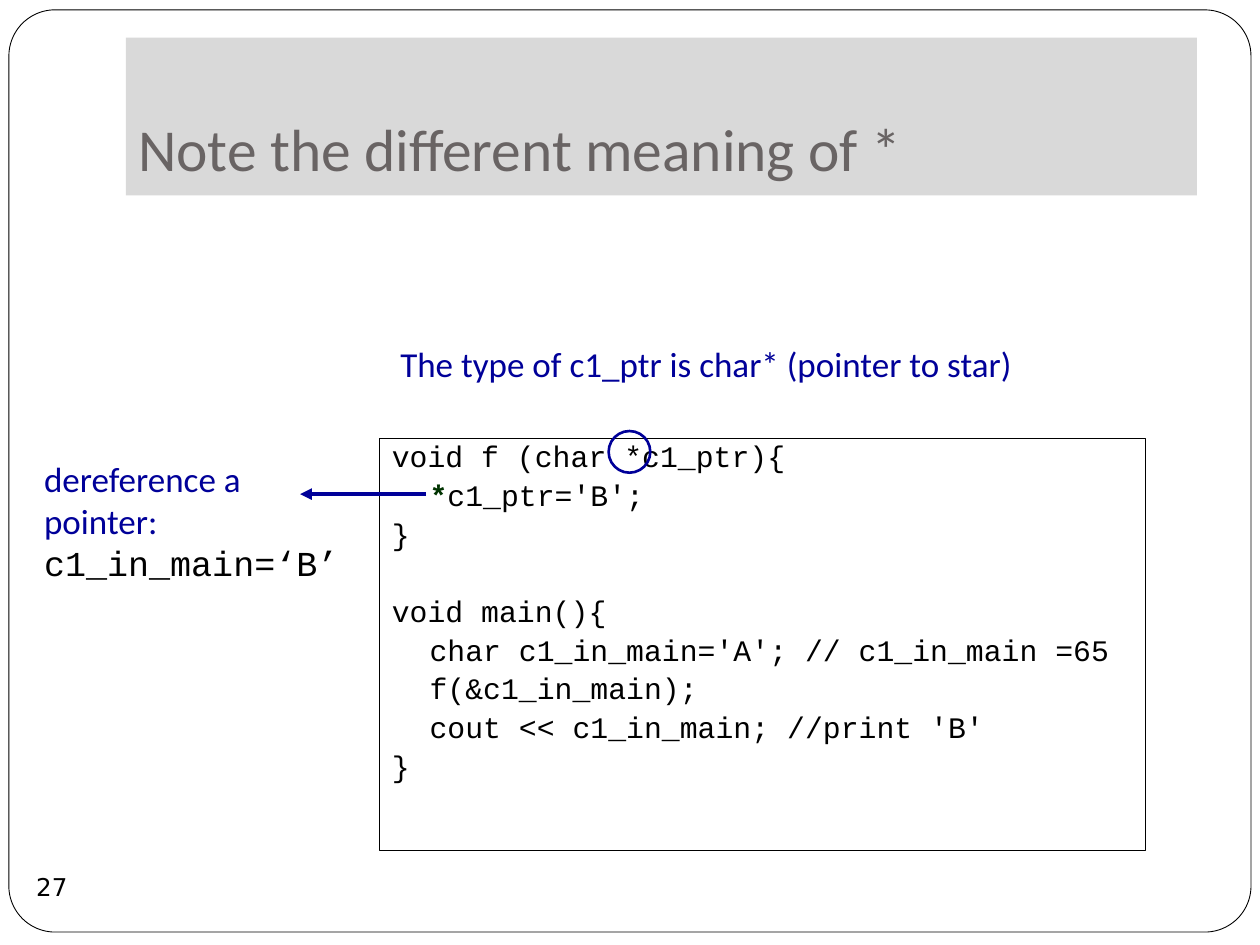
from collections import namedtuple

from lxml import etree
from pptx import Presentation
from pptx.dml.color import RGBColor
from pptx.enum.shapes import MSO_CONNECTOR, MSO_SHAPE
from pptx.enum.text import MSO_ANCHOR as Anchor, PP_ALIGN as Align
from pptx.oxml.ns import qn
from pptx.util import Cm, Pt

Box = namedtuple("Box", "left top width height")  # centimetres

COLORS = {
    "paper": "FFFFFF", "band": "D9D9D9", "title": "696464",
    "ink": "000000", "note": "000099", "star": "003300",
}
SANS, MONO, NUMBER = "Calibri", "Courier New", "DejaVu Sans"
INDENT = 0.76
LINE_GAP, BLOCK_GAP = 5.8, 27.9

# Each line: indented?, space before in points, text pieces
CODE = [
    (False, 0, ["void f (char *c1_ptr){"]),
    (True, LINE_GAP, ["*", "c1_ptr='B';"]),
    (False, LINE_GAP, ["}"]),
    (False, BLOCK_GAP, ["void main(){"]),
    (True, LINE_GAP, ["char c1_in_main='A'; // c1_in_main =65"]),
    (True, LINE_GAP, ["f(&c1_in_main);"]),
    (True, LINE_GAP, ["cout << c1_in_main; //print 'B'"]),
    (False, LINE_GAP, ["}"]),
]


def rgb(name):
    return RGBColor.from_string(COLORS[name])


def add_span(para, text, size, font, color, bold=False):
    span = para.add_run()
    span.text = text
    span.font.size = Pt(size)
    span.font.name = font
    span.font.bold = bold
    span.font.color.rgb = rgb(color)


def add_shape(page, kind, box, fill=None, line=None, weight=1):
    shape = page.shapes.add_shape(kind, *map(Cm, box))
    shape.shadow.inherit = False
    if fill:
        shape.fill.solid()
        shape.fill.fore_color.rgb = rgb(fill)
    else:
        shape.fill.background()
    if line:
        shape.line.color.rgb = rgb(line)
        shape.line.width = Pt(weight)
    else:
        shape.line.fill.background()
    return shape


def add_frame(page, box):
    frame = add_shape(page, MSO_SHAPE.ROUNDED_RECTANGLE, box, "paper", "ink", 0.5)
    frame.adjustments[0] = 0.05


def add_title(page, box):
    text = add_shape(page, MSO_SHAPE.RECTANGLE, box, "band").text_frame
    text.word_wrap = True
    text.vertical_anchor = Anchor.BOTTOM
    text.margin_bottom = Cm(0.25)
    para = text.paragraphs[0]
    para.alignment = Align.LEFT
    add_span(para, "Note the different meaning of *", 34, SANS, "title")


def add_code(page, box):
    text = add_shape(page, MSO_SHAPE.RECTANGLE, box, None, "ink", 0.25).text_frame
    text.word_wrap = True
    text.vertical_anchor = Anchor.TOP
    for row, (indented, gap, pieces) in enumerate(CODE):
        para = text.add_paragraph() if row else text.paragraphs[0]
        para.alignment = Align.LEFT
        para.line_spacing = 0.8
        para.space_before = Pt(gap)
        if indented:
            para._p.get_or_add_pPr().set("marL", str(Cm(INDENT)))
        for piece in pieces:
            star = piece == "*"
            add_span(para, piece, 17, MONO, "star" if star else "ink", star)


def add_note(page, box, lines):
    text = page.shapes.add_textbox(*map(Cm, box)).text_frame
    text.word_wrap = True
    for row, (words, font, color) in enumerate(lines):
        para = text.add_paragraph() if row else text.paragraphs[0]
        add_span(para, words, 20, font, color)


def add_arrow(page, left, top, length):
    """Arrow that runs from (left, top) towards the left."""
    arrow = page.shapes.add_connector(
        MSO_CONNECTOR.STRAIGHT, Cm(left), Cm(top), Cm(left - length), Cm(top))
    arrow.line.color.rgb = rgb("note")
    arrow.line.width = Pt(2.25)
    head = etree.SubElement(arrow.line._get_or_add_ln(), qn("a:tailEnd"))
    head.set("type", "triangle")
    etree.SubElement(arrow._element.spPr, qn("a:effectLst"))


def add_annotations(page, code):
    """Notes and marks, placed relative to the code box."""
    left, top = code.left, code.top
    add_note(page, Box(left + 0.17, top - 2.06, 15.88, 1.09),
             [("The type of c1_ptr is char* (pointer to star)", SANS, "note")])
    add_shape(page, MSO_SHAPE.OVAL, Box(left + 4.62, top - 0.15, 0.84, 0.84),
              None, "note", 1.5)
    add_arrow(page, left + 0.94, top + 1.12, 2.54)
    add_note(page, Box(left - 7.01, top + 0.25, 6.55, 2.82),
             [("dereference a pointer:", SANS, "note"),
              ("c1_in_main=‘B’", MONO, "ink")])


def add_page_number(page, box):
    text = add_shape(page, MSO_SHAPE.OVAL, box).text_frame
    text.margin_left = text.margin_right = text.margin_top = text.margin_bottom = 0
    text.word_wrap = False
    text.vertical_anchor = Anchor.MIDDLE
    para = text.paragraphs[0]
    para.alignment = Align.CENTER
    add_span(para, "27", 14, NUMBER, "ink")


def main():
    deck = Presentation()
    deck.slide_width, deck.slide_height = Cm(25.4), Cm(19.05)
    page = deck.slides.add_slide(deck.slide_layouts[6])
    code = Box(7.65, 8.84, 15.44, 8.31)

    add_frame(page, Box(0.18, 0.2, 25.04, 18.59))
    add_title(page, Box(2.54, 0.76, 21.59, 3.18))
    add_code(page, code)
    add_page_number(page, Box(0.41, 17.25, 1.27, 1.27))
    add_annotations(page, code)
    deck.save("out.pptx")


if __name__ == "__main__":
    main()
